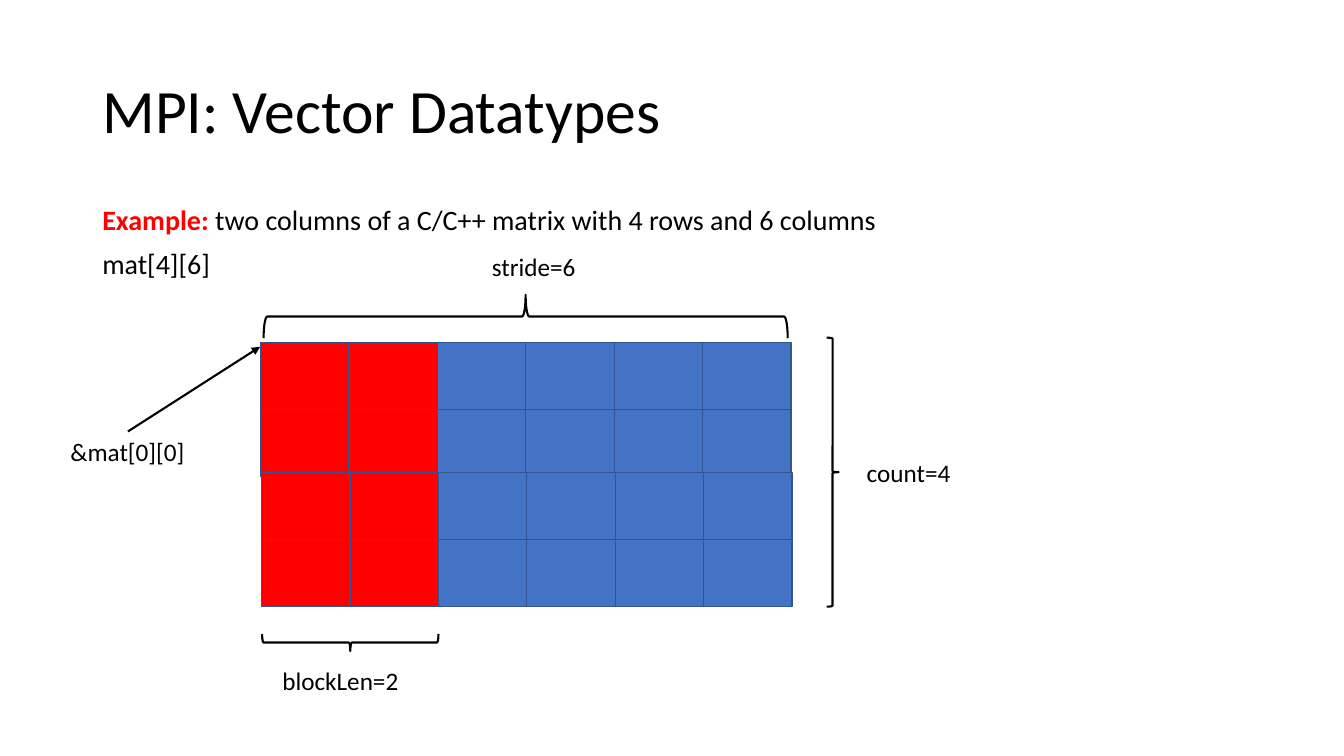
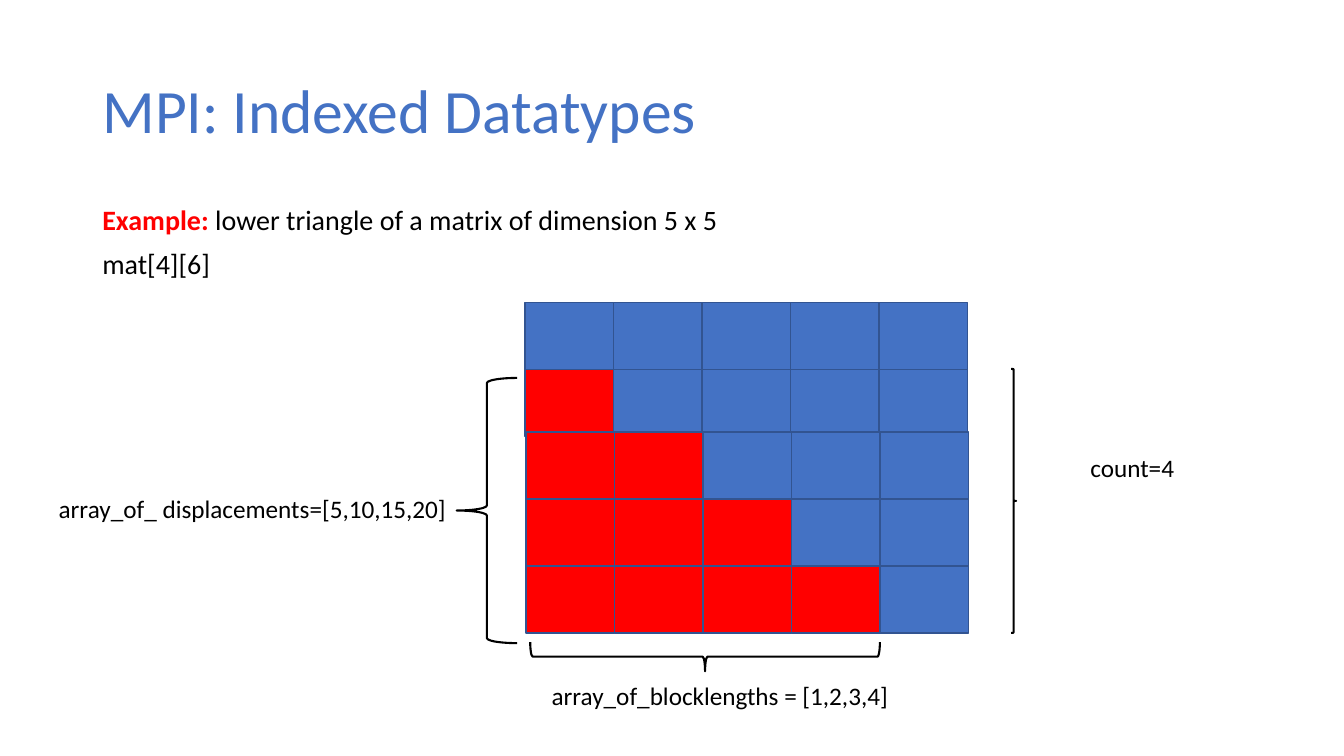
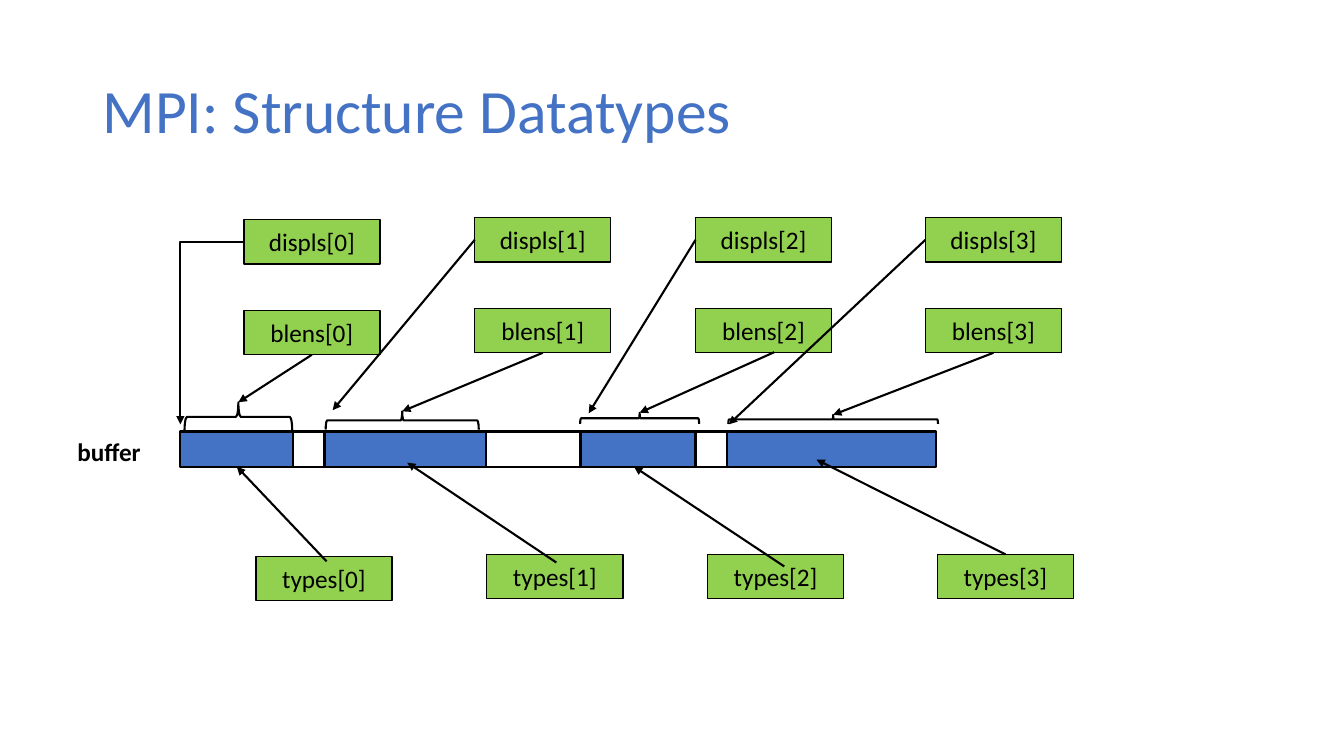
from itertools import accumulate

from lxml.etree import SubElement
from pptx import Presentation
from pptx.dml.color import RGBColor
from pptx.enum.shapes import MSO_CONNECTOR, MSO_SHAPE
from pptx.enum.text import MSO_ANCHOR, MSO_AUTO_SIZE, PP_ALIGN
from pptx.oxml.ns import qn
from pptx.util import Pt

BLACK = "000000"
WHITE = "FFFFFF"
RED = "FF0000"
BLUE = "4472C4"
NAVY = "325491"
GREEN = "92D050"

CELL_WIDTH = 63.2
CELL_HEIGHT = 48
ROW_PITCH = 47.8


def color(hex_value):
    return RGBColor.from_string(hex_value)


def write(paragraph, text, size=18, ink=BLACK, bold=False):
    run = paragraph.add_run()
    run.text = text
    run.font.name = "Calibri"
    run.font.size = Pt(size)
    run.font.bold = bold
    run.font.color.rgb = color(ink)


class Deck:
    def __init__(self):
        self.presentation = Presentation()
        self.presentation.slide_width = Pt(960)
        self.presentation.slide_height = Pt(540)
        self.slide = None

    def start(self, heading, ink=BLUE):
        layout = self.presentation.slide_layouts[5]
        self.slide = self.presentation.slides.add_slide(layout)
        title = self.slide.shapes.title
        title.left, title.top = Pt(66), Pt(28.8)
        title.width, title.height = Pt(828), Pt(104.4)
        frame = title.text_frame
        frame.auto_size = MSO_AUTO_SIZE.NONE
        frame.vertical_anchor = MSO_ANCHOR.MIDDLE
        paragraph = frame.paragraphs[0]
        paragraph.alignment = PP_ALIGN.LEFT
        paragraph.line_spacing = 0.9
        write(paragraph, heading, size=44, ink=ink)

    def frame(self, left, top, width, height):
        box = self.slide.shapes.add_textbox(Pt(left), Pt(top), Pt(width), Pt(height))
        box.text_frame.word_wrap = True
        return box.text_frame

    def label(self, text, left, top, width=100, bold=False):
        frame = self.frame(left, top, width, 28.8)
        write(frame.paragraphs[0], text, bold=bold)

    def example(self, description, declaration):
        frame = self.frame(66, 144, 828, 72)
        opening, code = frame.paragraphs[0], frame.add_paragraph()
        for paragraph in (opening, code):
            paragraph.line_spacing = 0.9
            paragraph.space_before = Pt(10)
        write(opening, "Example:", size=20, ink=RED, bold=True)
        write(opening, " " + description, size=20)
        write(code, declaration, size=20)

    def outline(self, kind, left, top, width, height, ink, weight):
        shape = self.slide.shapes.add_shape(kind, Pt(left), Pt(top), Pt(width), Pt(height))
        shape.shadow.inherit = False
        shape.line.color.rgb = color(ink)
        shape.line.width = Pt(weight)
        return shape

    def block(self, left, top, width, height, fill, ink=BLACK, weight=1.5, text=None):
        block = self.outline(MSO_SHAPE.RECTANGLE, left, top, width, height, ink, weight)
        block.fill.solid()
        block.fill.fore_color.rgb = color(fill)
        if text:
            block.text_frame.vertical_anchor = MSO_ANCHOR.MIDDLE
            paragraph = block.text_frame.paragraphs[0]
            paragraph.alignment = PP_ALIGN.CENTER
            write(paragraph, text)
        return block

    def matrix(self, left, top, columns, red_counts):
        for row, red_count in enumerate(red_counts):
            lower = row >= 2
            for column in range(columns):
                self.block(
                    left + column * CELL_WIDTH + 0.7 * lower,
                    top + row * ROW_PITCH - 2.9 * lower,
                    CELL_WIDTH,
                    CELL_HEIGHT,
                    RED if column < red_count else BLUE,
                    ink=NAVY,
                    weight=1,
                )

    def brace(self, tip, left, top, width, height):
        kind = MSO_SHAPE.LEFT_BRACE if tip == "left" else MSO_SHAPE.RIGHT_BRACE
        if tip in ("up", "down"):
            left += (width - height) / 2
            top += (height - width) / 2
            width, height = height, width
        brace = self.outline(kind, left, top, width, height, BLACK, 1.5)
        brace.fill.background()
        brace.rotation = {"up": 270, "down": 90}.get(tip, 0)

    def arrow(self, start, end, start_joint=None, end_joint=None, bent=False):
        kind = MSO_CONNECTOR.ELBOW if bent else MSO_CONNECTOR.STRAIGHT
        points = [Pt(value) for value in (*start, *end)]
        arrow = self.slide.shapes.add_connector(kind, *points)
        if start_joint:
            arrow.begin_connect(*start_joint)
        if end_joint:
            arrow.end_connect(*end_joint)
        arrow.line.color.rgb = color(BLACK)
        arrow.line.width = Pt(1.5)
        properties = arrow._element.spPr
        if bent:
            properties.find(qn("a:prstGeom")).set("prst", "bentConnector2")
        SubElement(properties.find(qn("a:ln")), qn("a:tailEnd"), type="triangle")
        SubElement(properties, qn("a:effectLst"))


def vector_slide(deck):
    deck.start("MPI: Vector Datatypes", ink=BLACK)
    deck.example("two columns of a C/C++ matrix with 4 rows and 6 columns", "mat[4][6]")
    deck.matrix(186, 244.8, 6, [2] * 4)
    deck.brace("right", 590.4, 241.2, 8.6, 192.2)
    deck.label("count=4", 612, 323.3)
    deck.brace("down", 187.2, 452.9, 126, 12.2)
    deck.label("blockLen=2", 194.6, 471.6, 128)
    deck.label("&mat[0][0]", 43.2, 308.2, 110)
    deck.brace("up", 188.3, 210.6, 374.4, 31)
    deck.label("stride=6", 344.2, 175.7)
    deck.arrow((91.4, 308.2), (185.8, 247.7))


def indexed_slide(deck):
    deck.start("MPI: Indexed Datatypes")
    deck.example("lower triangle of a matrix of dimension 5 x 5", "mat[4][6]")
    deck.matrix(375, 216, 5, range(5))
    deck.brace("right", 722.2, 263.5, 3.6, 188.6)
    deck.label("count=4", 771.8, 319.7)
    deck.brace("down", 378.7, 458.6, 249.8, 20.9)
    deck.label("array_of_blocklengths = [1,2,3,4]", 386.9, 482.4, 400)
    deck.label("array_of_ displacements=[5,10,15,20]", 34.8, 348.5, 400)
    deck.brace("left", 326.2, 270, 43.2, 189.4)


def structure_slide(deck):
    deck.start("MPI: Structure Datatypes")
    widths = [80.6, 22.3, 115.2, 67.7, 82.1, 22.3, 149.8]
    lefts = accumulate(widths[:-1], initial=128.9)
    buffer = [
        deck.block(left, 308.2, width, 25.2, WHITE if index % 2 else BLUE)
        for index, (left, width) in enumerate(zip(lefts, widths))
    ]
    deck.label("buffer", 48.2, 308.2, 80, bold=True)

    field_lefts = [174.2, 339.1, 496.8, 661]
    braces = [
        (131.8, 287.3, 77, 20.9),
        (232.6, 293.8, 109.4, 13),
        (414.4, 294.8, 85, 7.9),
        (520.2, 296.3, 149.8, 6.5),
    ]
    displ_ends = [(128.9, 303.1), (237.6, 293), (420.5, 295.2), (520.6, 303.1)]
    type_starts = [(233.3, 401), (397.4, 401.8), (560.2, 404.6), (718.2, 396)]
    type_ends = [(169.2, 333.4), (290.9, 330.5), (452.9, 333.4), (583.2, 328.3)]

    for index, left in enumerate(field_lefts):
        drop = 0 if index else 1.4

        def field(name, shift, top):
            return deck.block(left + shift, top + drop, 97.2, 31.7, GREEN,
                              weight=1, text=f"{name}[{index}]")

        displ = field("displs", 0, 155.5)
        blen = field("blens", 0, 220.3)
        type_field = field("types", 8.6, 396)
        brace_left, brace_top, brace_width, _ = braces[index]
        deck.brace("up", *braces[index])
        deck.arrow((left, 171.4 + drop), displ_ends[index],
                   start_joint=(displ, 1) if index else None, bent=index == 0)
        deck.arrow((553, 251.6), (brace_left + brace_width / 2, brace_top),
                   start_joint=None if index == 2 else (blen, 2))
        deck.arrow(type_starts[index], type_ends[index],
                   start_joint=(type_field, 0) if index == 3 else None,
                   end_joint=(buffer[0], 2) if index == 0 else None)


def main():
    deck = Deck()
    vector_slide(deck)
    indexed_slide(deck)
    structure_slide(deck)
    deck.presentation.save("out.pptx")


if __name__ == "__main__":
    main()
